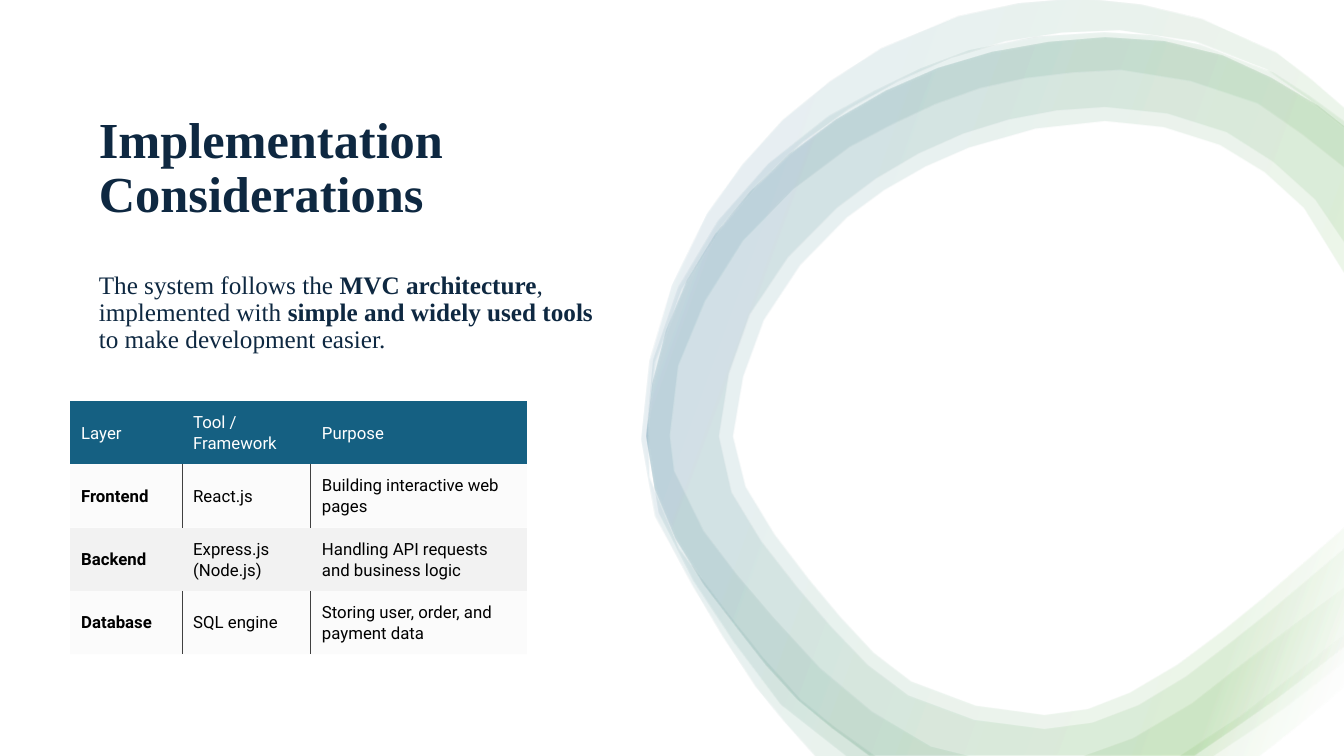
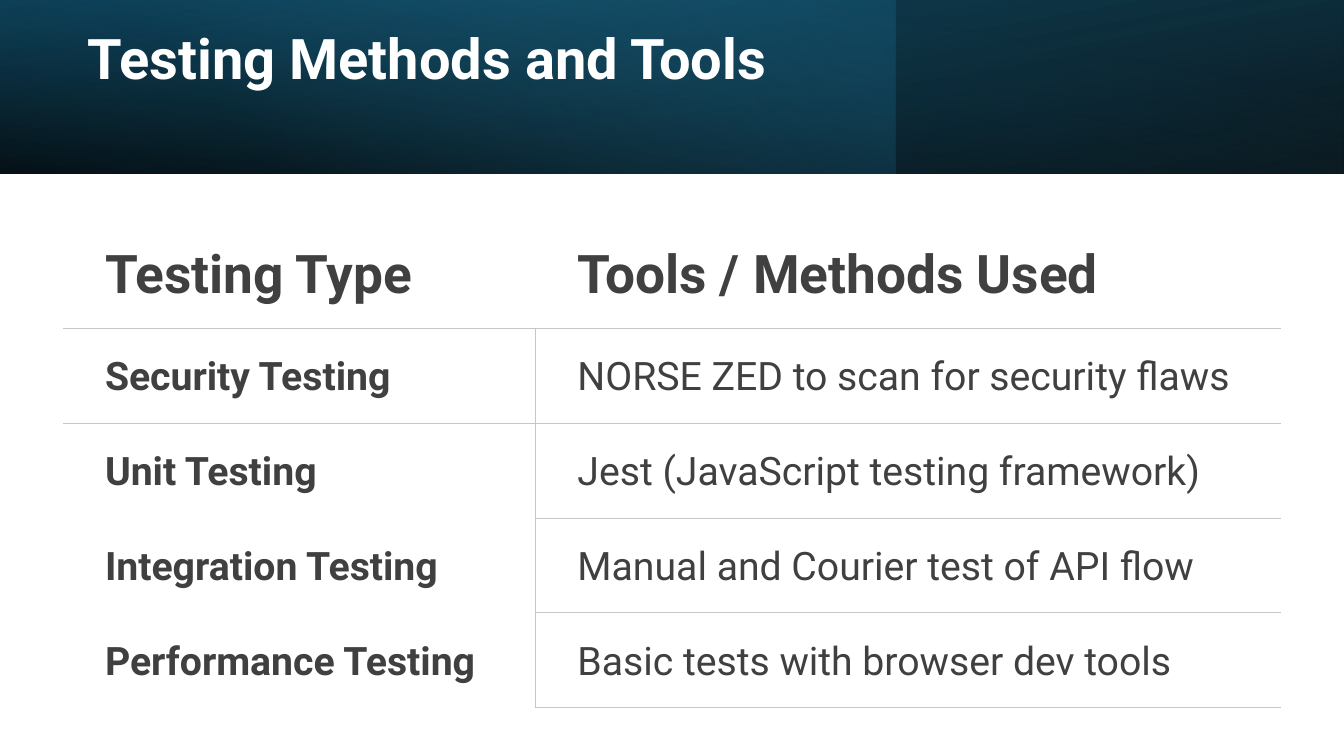
from lxml import etree
from pptx import Presentation
from pptx.dml.color import RGBColor
from pptx.enum.shapes import MSO_SHAPE
from pptx.enum.text import MSO_ANCHOR
from pptx.oxml.ns import qn
from pptx.util import Pt

RECTANGLE = MSO_SHAPE.RECTANGLE
TOP = MSO_ANCHOR.TOP
MIDDLE = MSO_ANCHOR.MIDDLE
BLANK_LAYOUT = 6
WIDTH, HEIGHT = 960, 540
PLAIN_TABLE = "{2D5ABB26-0587-4C30-8999-92F81FD0307C}"

SANS, SERIF = "Roboto", "Times New Roman"
NAVY, TEAL, GREEN, WHITE, BLACK = "0E2841", "156082", "4EA72E", "FFFFFF", "000000"
CHARCOAL, PALE, RULE = "404040", "F2F2F2", "C7C6C1"
RIBBON_STOPS = [(2, WHITE, 10), (16, GREEN, 10), (85, TEAL, 10), (100, WHITE, 10)]

HALO_OUTER = [
    (960, 78), (911, 38), (858, 14), (771, -1), (684, 12), (629, 35), (559, 86),
    (505, 153), (480, 204), (464, 258), (458, 314), (468, 369), (495, 419),
    (540, 491), (582, 540)]
HALO_INNER = [
    (625, 540), (572, 500), (519, 437), (485, 392), (464, 341), (468, 259),
    (487, 207), (516, 161), (573, 102), (642, 58), (718, 30), (799, 22),
    (853, 30), (904, 50), (960, 92)]
HALO_TAIL = [[(960, 490), (927, 518), (899, 540)], [(842, 540), (886, 511), (960, 453)]]
BAND_OUTER = [
    (960, 87), (909, 52), (857, 32), (788, 23), (692, 36), (592, 83), (549, 117),
    (513, 158), (485, 205), (467, 257), (462, 311), (471, 366), (496, 415),
    (525, 459), (558, 503), (605, 540)]
BAND_INNER = [
    (693, 540), (665, 533), (623, 508), (586, 477), (552, 440), (503, 379),
    (482, 336), (479, 311), (485, 261), (504, 215), (531, 172), (567, 135),
    (607, 105), (700, 63), (800, 50), (850, 58), (898, 74), (960, 120)]
BAND_TAIL = [[(960, 472), (919, 504), (866, 540)],
             [(773, 540), (809, 527), (851, 502), (892, 470), (960, 419)]]
LOOP_OUTER = [
    (960, 91), (941, 76), (873, 40), (789, 27), (670, 49), (565, 110), (491, 201),
    (462, 312), (483, 385), (527, 449), (570, 500), (621, 540)]
LOOP_TAIL = [(853, 540), (912, 499), (960, 462)]
WIDE_INNER = [
    (960, 392), (879, 459), (813, 504), (746, 521), (649, 497), (570, 420),
    (523, 352), (514, 312), (536, 225), (598, 149), (688, 96), (789, 77),
    (876, 95), (939, 143), (960, 174)]
WIDEST_INNER = [
    (960, 377), (873, 451), (807, 495), (746, 511), (651, 487), (578, 414),
    (533, 348), (524, 312), (546, 229), (605, 156), (692, 106), (789, 87),
    (871, 104), (931, 149), (960, 196)]
RIBBONS = [
    [[HALO_OUTER, HALO_INNER], HALO_TAIL],
    [[BAND_OUTER, BAND_INNER], BAND_TAIL],
    [[LOOP_OUTER, LOOP_TAIL, WIDE_INNER]],
    [[LOOP_OUTER, LOOP_TAIL, WIDEST_INNER]]]


def color(value):
    """Turn a hex string into a colour."""
    return RGBColor.from_string(value)


def add_color(parent, value, opacity=100):
    """Append a colour element with its opacity in percent."""
    element = etree.SubElement(parent, qn("a:srgbClr"), val=value)
    if opacity < 100:
        etree.SubElement(element, qn("a:alpha"), val=str(opacity * 1000))


def write(frame, text, font=SANS, size=12, fill=BLACK, bold=False, spacing=1.07):
    """Write text, given as a string or as (text, bold) runs, into a frame."""
    frame.word_wrap = True
    paragraph = frame.paragraphs[0]
    paragraph.line_spacing = spacing
    for words, strong in [(text, bold)] if isinstance(text, str) else text:
        run = paragraph.add_run()
        run.text = words
        run.font.name = font
        run.font.size = Pt(size)
        run.font.bold = strong
        run.font.color.rgb = color(fill)


def smooth(points, spacing=40):
    """Return vertices, about evenly spaced, of a smooth curve through the points."""
    knots = [complex(*point) for point in points]
    lengths = [abs(after - before) for before, after in zip(knots, knots[1:])]
    last = len(knots) - 1
    slopes = []
    for index in range(len(knots)):
        low, high = max(index - 1, 0), min(index + 1, last)
        slopes.append((knots[high] - knots[low]) / sum(lengths[low:high]))
    curve = [knots[0]]
    for index, length in enumerate(lengths):
        start, end = knots[index], knots[index + 1]
        steps = max(1, round(length / spacing))
        for step in range(1, steps + 1):
            t = step / steps
            curve.append(
                start * (1 + 2 * t) * (1 - t) ** 2 + end * t * t * (3 - 2 * t)
                + length * t * (1 - t) * (slopes[index] * (1 - t) - slopes[index + 1] * t))
    return [(Pt(knot.real), Pt(knot.imag)) for knot in curve]


class Deck:
    """Holds the presentation, its style and the current slide."""

    def __init__(self):
        """Start an empty widescreen presentation."""
        self.presentation = Presentation()
        self.presentation.slide_width = Pt(WIDTH)
        self.presentation.slide_height = Pt(HEIGHT)
        self.slide = None

    def add_slide(self):
        """Add a blank slide and make it current."""
        layout = self.presentation.slide_layouts[BLANK_LAYOUT]
        self.slide = self.presentation.slides.add_slide(layout)

    def text(self, left, top, width, height, text, anchor=MIDDLE, **style):
        """Add a text box."""
        box = self.slide.shapes.add_textbox(Pt(left), Pt(top), Pt(width), Pt(height))
        box.text_frame.vertical_anchor = anchor
        write(box.text_frame, text, spacing=0.9, **style)

    def title(self, left, top, width, height, text, **style):
        """Add a bold slide title."""
        self.text(left, top, width, height, text, bold=True, **style)

    def gradient(self, shape, stops, angle):
        """Fill a shape with a clockwise-angled gradient, without line or shadow."""
        shape.shadow.inherit = False
        shape.line.fill.background()
        shape.fill.gradient()
        shape.fill.gradient_angle = 360 - angle
        stop_list = next(shape.element.iter(qn("a:gsLst")))
        for stop in list(stop_list):
            stop_list.remove(stop)
        for position, value, opacity in stops:
            stop = etree.SubElement(stop_list, qn("a:gs"), pos=str(position * 1000))
            add_color(stop, value, opacity)

    def band(self, width, height, stops, angle, rotation=0, mirrored=False):
        """Add a gradient band from the top left corner."""
        shape = self.slide.shapes.add_shape(RECTANGLE, 0, 0, Pt(width), Pt(height))
        self.gradient(shape, stops, angle)
        shape.rotation = rotation
        if mirrored:
            next(shape.element.iter(qn("a:xfrm"))).set("flipH", "1")

    def ribbon(self, contours):
        """Add a translucent ribbon, each contour being joined curves."""
        outlines = [[vertex for stroke in contour for vertex in smooth(stroke)]
                    for contour in contours]
        builder = self.slide.shapes.build_freeform(*outlines[0][0])
        for outline in outlines:
            if outline is not outlines[0]:
                builder.move_to(*outline[0])
            builder.add_line_segments(outline[1:], close=True)
        self.gradient(builder.convert_to_shape(), RIBBON_STOPS, 200)

    def table(self, left, top, columns, heights, rows, margins, style):
        """Add a table; style gives text format, fill and edges of each cell."""
        frame = self.slide.shapes.add_table(
            len(rows), len(columns), Pt(left), Pt(top), Pt(sum(columns)), Pt(sum(heights)))
        table = frame.table
        table.first_row = table.horz_banding = False
        next(frame.element.iter(qn("a:tableStyleId"))).text = PLAIN_TABLE
        for column, width in zip(table.columns, columns):
            column.width = Pt(width)
        for row_index, (texts, height) in enumerate(zip(rows, heights)):
            table.rows[row_index].height = Pt(height)
            for column_index, text in enumerate(texts):
                cell = table.cell(row_index, column_index)
                self.cell(cell, text, margins, *style(row_index, column_index))

    def cell(self, cell, text, margins, text_format, fill, edges, rule):
        """Format one table cell."""
        cell.margin_left, cell.margin_right = Pt(margins[0]), Pt(margins[1])
        cell.margin_top = cell.margin_bottom = Pt(margins[2])
        cell.vertical_anchor = MIDDLE
        write(cell.text_frame, text, **text_format)
        properties = cell._tc.get_or_add_tcPr()
        for edge in edges:
            line = etree.SubElement(properties, qn("a:ln" + edge), w=str(Pt(rule[1])))
            add_color(etree.SubElement(line, qn("a:solidFill")), rule[0])
        if fill is None:
            cell.fill.background()
            return
        cell.fill.solid()
        cell.fill.fore_color.rgb = color(fill[0])
        if fill[1] < 100:
            value = next(properties.find(qn("a:solidFill")).iter(qn("a:srgbClr")))
            etree.SubElement(value, qn("a:alpha"), val=str(fill[1] * 1000))


def layer_style(row, column):
    """Style the cells of the layer table."""
    rule = (CHARCOAL, 0.5)
    if row == 0:
        return {"fill": WHITE}, (TEAL, 100), "", rule
    text_format = {"bold": column == 0}
    if row % 2 == 0:
        return text_format, (PALE, 100), "", rule
    return text_format, (PALE, 30), ("R", "LR", "L")[column], rule


def testing_style(row, column):
    """Style the cells of the testing table."""
    header = row == 0
    text_format = {"size": 38 if header else 28, "fill": CHARCOAL,
                   "bold": header or column == 0}
    if header:
        edges = "B"
    elif column == 1:
        edges = "LTB"
    else:
        edges = "RT" if row == 1 else "R"
    return text_format, None, edges, (RULE, 0.75)


def implementation_slide(deck):
    """Build the slide on implementation."""
    deck.add_slide()
    for contours in RIBBONS:
        deck.ribbon(contours)
    deck.title(63.5, 63.5, 375, 114.5, "Implementation Considerations",
               font=SERIF, size=36, fill=NAVY)
    deck.text(63.5, 191, 375, 80, [
        ("The system follows the ", False), ("MVC architecture", True),
        (", implemented with ", False), ("simple and widely used tools", True),
        (" to make development easier.", False)],
        anchor=TOP, font=SERIF, size=18, fill=NAVY)
    deck.table(50, 286.5, [80, 92, 154.3], [45.2] * 4, [
        ("Layer", "Tool / Framework", "Purpose"),
        ("Frontend", "React.js", "Building interactive web pages"),
        ("Backend", "Express.js (Node.js)", "Handling API requests and business logic"),
        ("Database", "SQL engine", "Storing user, order, and payment data"),
    ], (8, 11.5, 6.5), layer_style)


def testing_slide(deck):
    """Build the slide on testing."""
    deck.add_slide()
    height = 124
    deck.band(WIDTH, height, [(0, BLACK, 96), (100, "104862", 100)], 100,
              rotation=180, mirrored=True)
    deck.band(640, height, [(0, TEAL, 41), (74, "46B1E1", 0)], 140)
    deck.band(WIDTH, height, [(0, BLACK, 63), (78, TEAL, 15)], 260, mirrored=True)
    deck.title(55.5, 19, 556, 49, "Testing Methods and Tools", size=40, fill=WHITE)
    deck.table(45, 155, [337.5, 532.5], [79.7] + [67.7] * 4, [
        ("Testing Type", "Tools / Methods Used"),
        ("Security Testing", "NORSE ZED to scan for security flaws"),
        ("Unit Testing", "Jest (JavaScript testing framework)"),
        ("Integration Testing", "Manual and Courier test of API flow"),
        ("Performance Testing", "Basic tests with browser dev tools"),
    ], (30, 22, 15), testing_style)


def main():
    """Build and save the presentation."""
    deck = Deck()
    implementation_slide(deck)
    testing_slide(deck)
    deck.presentation.save("out.pptx")


if __name__ == "__main__":
    main()
